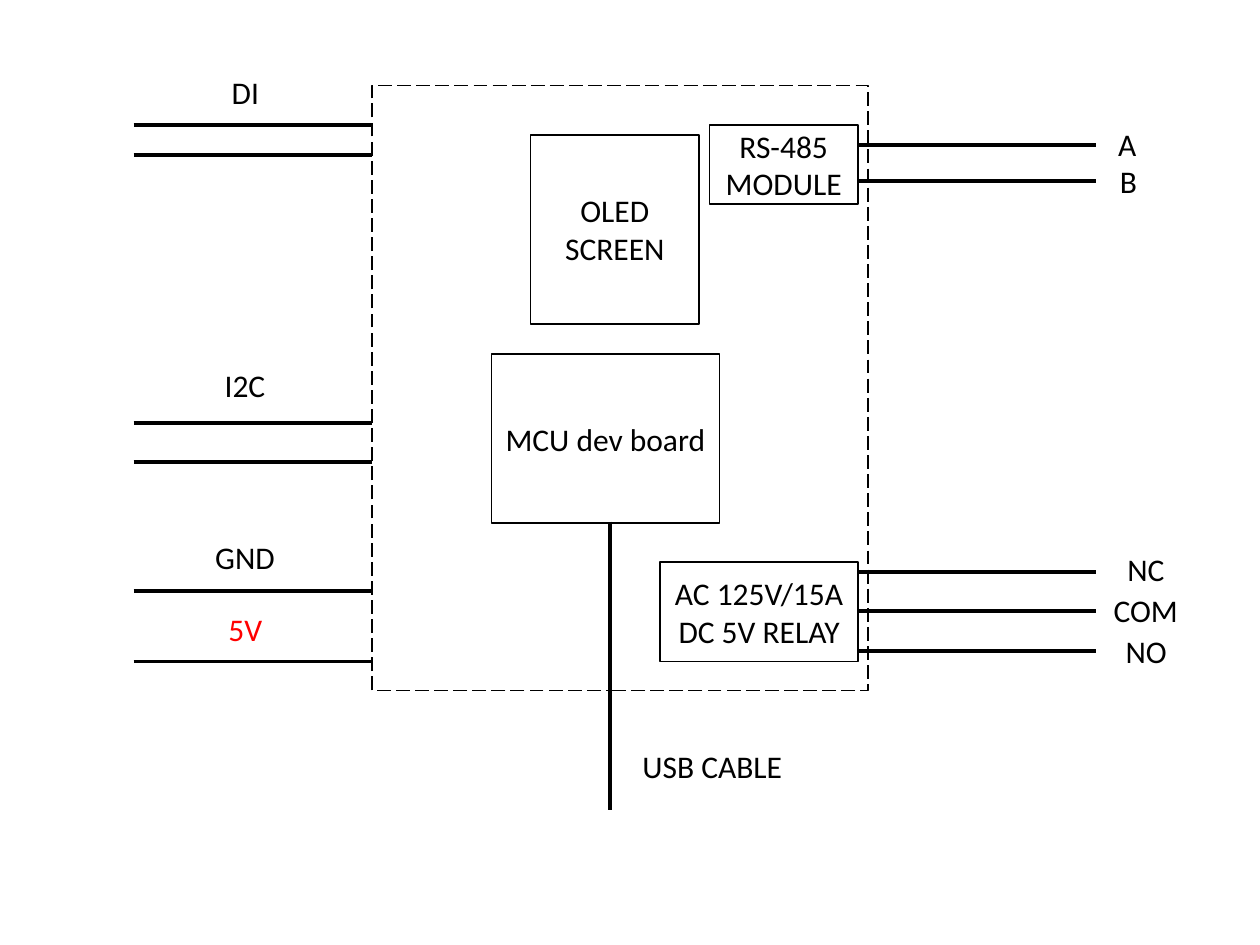
from lxml.etree import SubElement
from pptx import Presentation
from pptx.dml.color import RGBColor
from pptx.enum.dml import MSO_LINE
from pptx.enum.shapes import MSO_CONNECTOR, MSO_SHAPE
from pptx.enum.text import MSO_ANCHOR, MSO_AUTO_SIZE, PP_ALIGN
from pptx.oxml.ns import qn
from pptx.util import Inches, Pt

COLORS = {"ink": "000000", "paper": "FFFFFF", "power": "FF0000"}
FONT = "Calibri"
CELL = 0.1  # grid of 100 columns by 75 rows

# Grid columns shared by the wires
LEFT_END, CASE_LEFT = 10.6, 29.5
MODULE_RIGHT, RIGHT_END = 68.1, 87
USB_COL = 48.4


def grid(n):
    return Inches(n * CELL)


def color(name):
    return RGBColor.from_string(COLORS[name])


def add_text(p, text, ink="ink"):
    r = p.add_run()
    r.text = text
    r.font.name = FONT
    r.font.size = Pt(18)
    r.font.color.rgb = color(ink)


def add_box(s, col, row, cols, rows, lines=(), dash=None):
    sp = s.shapes.add_shape(MSO_SHAPE.RECTANGLE, grid(col), grid(row), grid(cols), grid(rows))
    sp.shadow.inherit = False
    sp.fill.solid()
    sp.fill.fore_color.rgb = color("paper")
    sp.line.color.rgb = color("ink")
    sp.line.width = Pt(1)
    if dash:
        sp.line.dash_style = dash
    tf = sp.text_frame
    tf.vertical_anchor = MSO_ANCHOR.MIDDLE
    for i, line in enumerate(lines):
        p = tf.add_paragraph() if i else tf.paragraphs[0]
        p.alignment = PP_ALIGN.CENTER
        add_text(p, line)


def add_wire(s, col1, row1, col2, row2):
    cn = s.shapes.add_connector(MSO_CONNECTOR.STRAIGHT, grid(col1), grid(row1), grid(col2), grid(row2))
    cn.line.color.rgb = color("ink")
    cn.line.width = Pt(2.25)
    SubElement(cn._element.spPr, qn("a:effectLst"))


def add_label(s, text, center, row, cols, ink="ink"):
    sp = s.shapes.add_textbox(grid(center - cols / 2), grid(row), grid(cols), grid(4))
    tf = sp.text_frame
    tf.word_wrap = False
    tf.auto_size = MSO_AUTO_SIZE.SHAPE_TO_FIT_TEXT
    add_text(tf.paragraphs[0], text, ink)


def main():
    prs = Presentation()
    prs.slide_width, prs.slide_height = grid(100), grid(75)
    s = prs.slides.add_slide(prs.slide_layouts[6])

    # Case outline, controller and display
    add_box(s, CASE_LEFT, 6.8, 39.4, 48, dash=MSO_LINE.LONG_DASH)
    add_box(s, 39, 28.1, 18.1, 13.4, ["MCU dev board"])
    add_box(s, 42.1, 10.7, 13.4, 15, ["OLED", "SCREEN"])

    # Wires on both sides
    for row in (9.9, 12.3, 33.6, 36.7, 46.9, 52.5):
        add_wire(s, LEFT_END, row, CASE_LEFT, row)
    for row in (11.5, 14.4, 45.4, 48.5, 51.7):
        add_wire(s, MODULE_RIGHT, row, RIGHT_END, row)

    # Modules at the right edge
    for row, cols, rows, lines in (
        (9.9, 11.8, 6.3, ["RS-485", "MODULE"]),
        (44.6, 15.7, 7.9, ["AC 125V/15A", "DC 5V RELAY"]),
    ):
        add_box(s, MODULE_RIGHT - cols, row, cols, rows, lines)

    # USB cable
    add_wire(s, USB_COL, 41.4, USB_COL, 64.3)
    add_label(s, "USB CABLE", 56.6, 58.8, 13.2)

    # Labels of the left wires
    for text, row, cols, ink in (
        ("DI", 5.3, 4.2, "ink"),
        ("I2C", 28.6, 5.3, "ink"),
        ("GND", 42.2, 6.8, "ink"),
        ("5V", 47.9, 4.7, "power"),
    ):
        add_label(s, text, 19.5, row, cols, ink)

    # Labels of the bus and relay wires
    for text, center, row, cols in (
        ("A", 89.5, 9.4, 3.5),
        ("B", 89.6, 12.4, 3.4),
        ("NC", 91, 43.2, 5),
        ("COM", 91, 46.4, 7.2),
        ("NO", 91, 49.7, 5.3),
    ):
        add_label(s, text, center, row, cols)

    prs.save("out.pptx")


if __name__ == "__main__":
    main()
